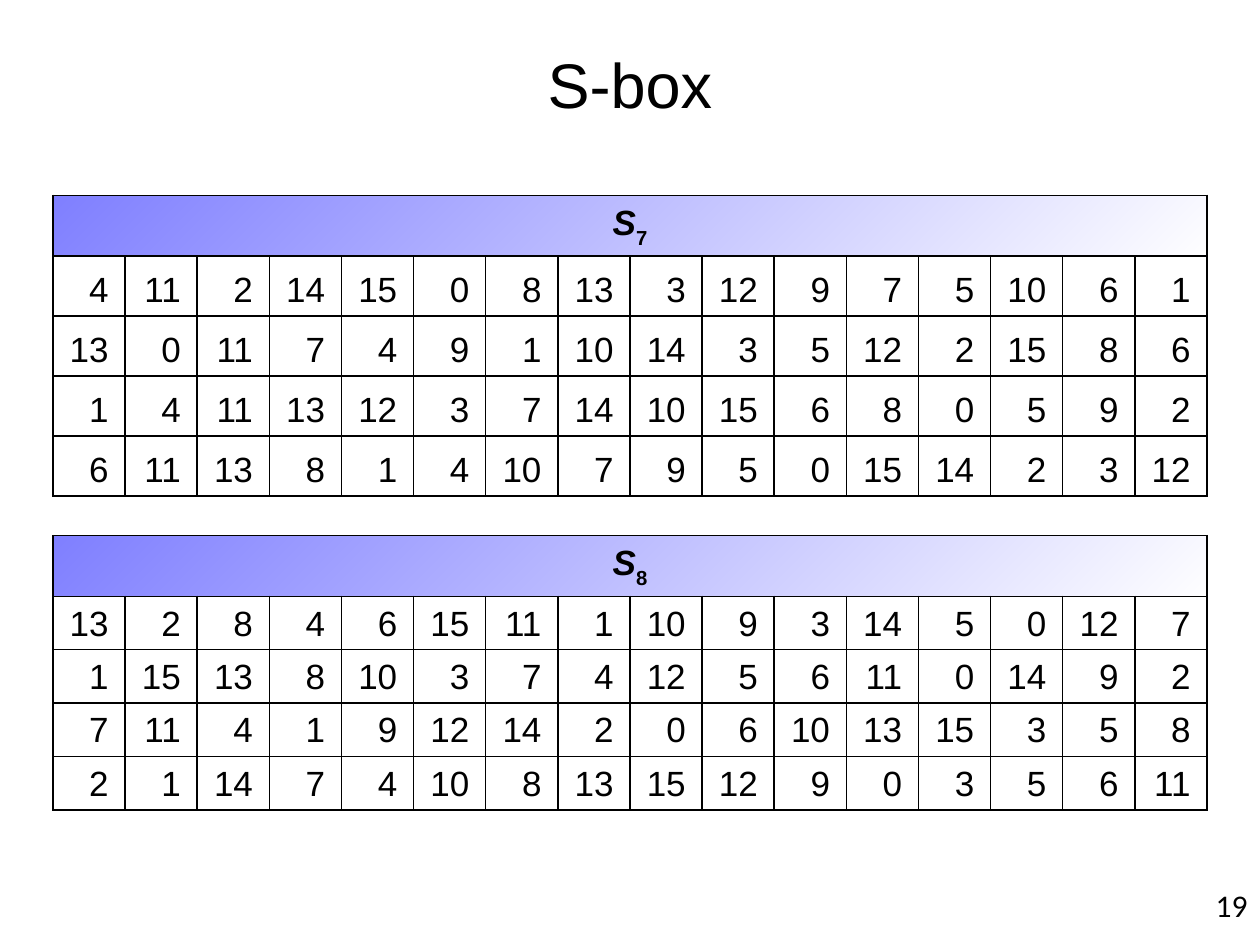
from dataclasses import dataclass

from lxml import etree
from pptx import Presentation
from pptx.dml.color import RGBColor
from pptx.enum.text import MSO_ANCHOR, PP_ALIGN
from pptx.oxml.ns import qn
from pptx.util import Inches, Pt

CENTER, RIGHT = PP_ALIGN.CENTER, PP_ALIGN.RIGHT
TOP, MIDDLE, BOTTOM = MSO_ANCHOR.TOP, MSO_ANCHOR.MIDDLE, MSO_ANCHOR.BOTTOM


@dataclass(frozen=True)
class Theme:
    black: RGBColor = RGBColor(0, 0, 0)
    header_colors: tuple = (RGBColor(0, 0, 255), RGBColor(255, 255, 255))
    title: Pt = Pt(36)
    table: Pt = Pt(20)
    number: Pt = Pt(18)
    border: Pt = Pt(1)
    font: str = "Arial"
    number_font: str = "Calibri"


THEME = Theme()


def style_run(run, size, font=THEME.font, bold=False, italic=False):
    run.font.size, run.font.name = size, font
    run.font.bold, run.font.italic = bold, italic
    run.font.color.rgb = THEME.black


def add_borders(cell):
    properties = cell._tc.get_or_add_tcPr()
    for side in ("lnL", "lnR", "lnT", "lnB"):
        line = etree.SubElement(properties, qn(f"a:{side}"), w=str(THEME.border))
        fill = etree.SubElement(line, qn("a:solidFill"))
        etree.SubElement(fill, qn("a:srgbClr"), val=str(THEME.black))


presentation = Presentation()
presentation.slide_width, presentation.slide_height = Inches(10), Inches(7.5)
slide = presentation.slides.add_slide(presentation.slide_layouts[6])

# Title and slide number
labels = [
    ("S-box", (0.42, 0.37, 9.16, 0.58), CENTER, MIDDLE, THEME.title, THEME.font),
    ("19", (7.67, 6.98, 2.33, 0.52), RIGHT, TOP, THEME.number, THEME.number_font),
]
for text, place, alignment, anchor, size, font in labels:
    text_frame = slide.shapes.add_textbox(*map(Inches, place)).text_frame
    text_frame.word_wrap = True
    text_frame.vertical_anchor = anchor
    text_frame.text = text
    paragraph = text_frame.paragraphs[0]
    paragraph.alignment = alignment
    style_run(paragraph.runs[0], size, font)

# S-boxes: index, top, height of a value row, values
s_boxes = [
    ("7", 1.55, 0.476, [
        [4, 11, 2, 14, 15, 0, 8, 13, 3, 12, 9, 7, 5, 10, 6, 1],
        [13, 0, 11, 7, 4, 9, 1, 10, 14, 3, 5, 12, 2, 15, 8, 6],
        [1, 4, 11, 13, 12, 3, 7, 14, 10, 15, 6, 8, 0, 5, 9, 2],
        [6, 11, 13, 8, 1, 4, 10, 7, 9, 5, 0, 15, 14, 2, 3, 12],
    ]),
    ("8", 4.25, 0.41, [
        [13, 2, 8, 4, 6, 15, 11, 1, 10, 9, 3, 14, 5, 0, 12, 7],
        [1, 15, 13, 8, 10, 3, 7, 4, 12, 5, 6, 11, 0, 14, 9, 2],
        [7, 11, 4, 1, 9, 12, 14, 2, 0, 6, 10, 13, 15, 3, 5, 8],
        [2, 1, 14, 7, 4, 10, 8, 13, 15, 12, 9, 0, 3, 5, 6, 11],
    ]),
]
HEADER_HEIGHT = 0.47

for index, top, row_height, values in s_boxes:
    columns = len(values[0])
    height = HEADER_HEIGHT + row_height * len(values)
    table = slide.shapes.add_table(
        len(values) + 1, columns,
        Inches(0.42), Inches(top), Inches(9.16), Inches(height)).table
    table.first_row = table.horz_banding = False
    for row in table.rows:
        row.height = Inches(row_height)
    table.rows[0].height = Inches(HEADER_HEIGHT)

    for cell in table.iter_cells():
        add_borders(cell)
        cell.fill.background()
        cell.vertical_anchor = BOTTOM
        cell.margin_top, cell.margin_bottom = Inches(0.04), Inches(0.05)

    # Header across all columns, with a half transparent gradient
    header = table.cell(0, 0)
    header.merge(table.cell(0, columns - 1))
    header.fill.gradient()
    header.fill.gradient_angle = 315
    for stop, color in zip(header.fill.gradient_stops, THEME.header_colors):
        stop.color.rgb = color
    gradient = header._tc.tcPr.find(qn("a:gradFill"))
    for color in gradient.iter(qn("a:srgbClr")):
        etree.SubElement(color, qn("a:alpha"), val="50000")
    paragraph = header.text_frame.paragraphs[0]
    paragraph.alignment = CENTER
    for text, is_letter in (("S", True), (index, False)):
        run = paragraph.add_run()
        run.text = text
        style_run(run, THEME.table, bold=True, italic=is_letter)
    run.font._element.set("baseline", "-30000")

    # Values, with their last digits aligned
    for row_number, row_values in enumerate(values, start=1):
        for column, value in enumerate(row_values):
            cell = table.cell(row_number, column)
            cell.margin_left, cell.margin_right = Inches(0.05), Inches(0.13)
            cell.text_frame.text = str(value)
            paragraph = cell.text_frame.paragraphs[0]
            paragraph.alignment = RIGHT
            style_run(paragraph.runs[0], THEME.table)

presentation.save("out.pptx")
